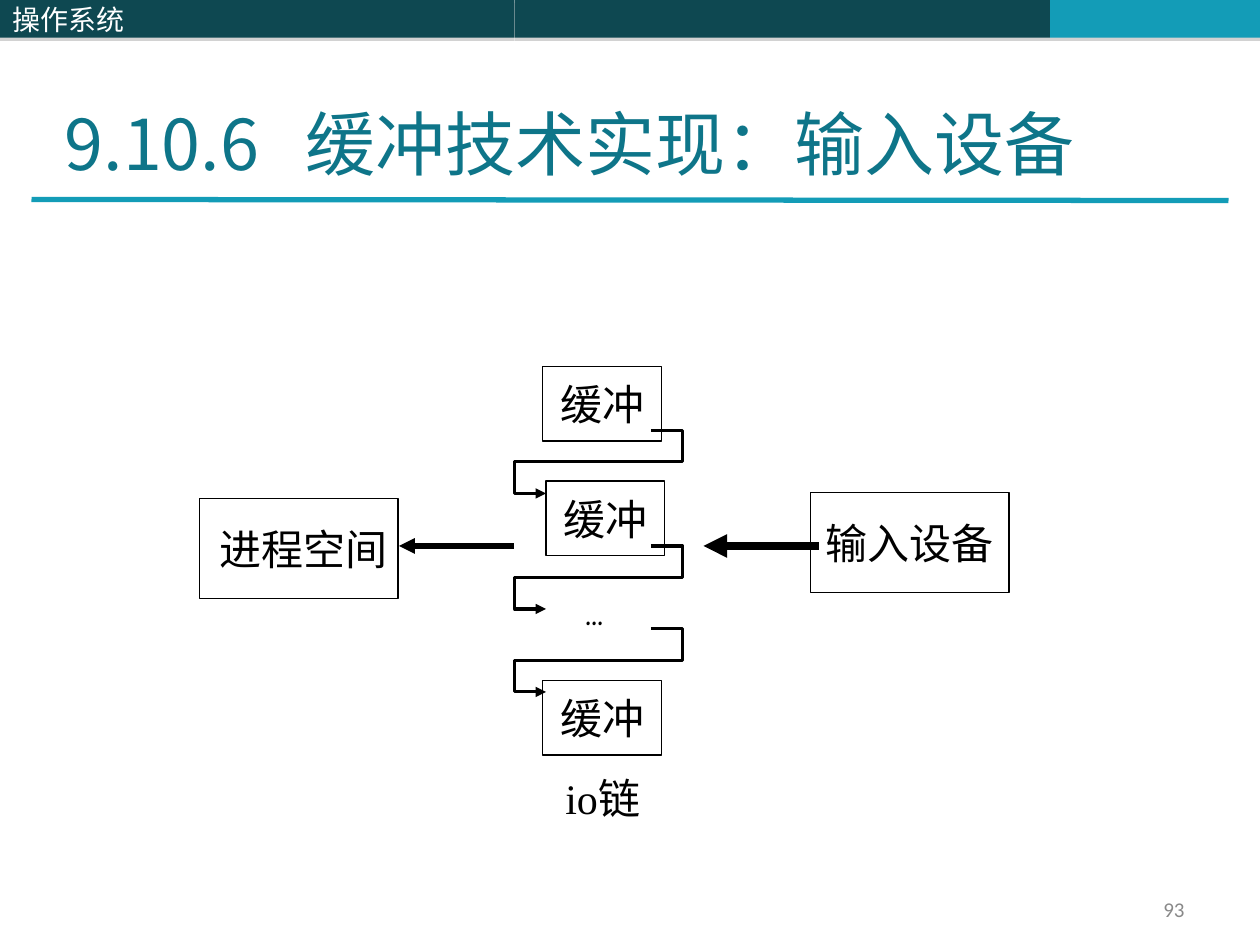
from lxml.etree import SubElement
from pptx import Presentation
from pptx.dml.color import RGBColor
from pptx.enum.shapes import MSO_CONNECTOR as Connector, MSO_SHAPE as Shape
from pptx.enum.text import MSO_ANCHOR as Anchor, PP_ALIGN as Align
from pptx.oxml.ns import qn
from pptx.util import Inches, Pt

# Colours and fonts
DARK_TEAL = RGBColor(0x0E, 0x48, 0x51)
TEAL = RGBColor(0x13, 0x9C, 0xB7)
TITLE_TEAL = RGBColor(0x0E, 0x75, 0x89)
GREY = RGBColor(0x89, 0x89, 0x89)
BLACK = RGBColor(0, 0, 0)
WHITE = RGBColor(0xFF, 0xFF, 0xFF)
CJK = "Noto Sans CJK SC"
SERIF = "Times New Roman"

# The page is a grid of 120 columns by 90 rows
COLUMNS, ROWS = 120, 90
CELL = Inches(10) / COLUMNS
HEADER_ROWS = 3.6
ARROW_ROW = 52


def grid(*cells):
    return [round(cell * CELL) for cell in cells]


def write(box, text, *, size=24, font=SERIF, color=BLACK, align=Align.LEFT,
          anchor=Anchor.TOP, wrap=True, left=0.1, right=0.1, tab=None):
    frame = box.text_frame
    frame.word_wrap = wrap
    frame.vertical_anchor = anchor
    frame.margin_left, frame.margin_right = Inches(left), Inches(right)
    para = frame.paragraphs[0]
    para.alignment = align
    if tab is not None:
        stops = SubElement(para._p.get_or_add_pPr(), qn("a:tabLst"))
        SubElement(stops, qn("a:tab"), pos=str(Inches(tab)), algn="l")
    span = para.add_run()
    span.text = text
    span.font.size = Pt(size)
    span.font.name = font
    span.font.color.rgb = color
    SubElement(span._r.get_or_add_rPr(), qn("a:ea"), typeface=CJK)


def add_label(page, place, text, **style):
    write(page.shapes.add_textbox(*grid(*place)), text, **style)


def add_rectangle(page, place, fill):
    box = page.shapes.add_shape(Shape.RECTANGLE, *grid(*place))
    box.shadow.inherit = False
    box.fill.solid()
    box.fill.fore_color.rgb = fill
    box.line.fill.background()
    return box


def add_band(page, left, right, fill):
    band = add_rectangle(page, (left, 0, right - left, HEADER_ROWS), fill)
    effects = band._element.spPr.find(qn("a:effectLst"))
    shadow = SubElement(effects, qn("a:outerShdw"), blurRad="0",
                        dist=str(Pt(1.8)), dir="5400000", rotWithShape="0")
    tint = SubElement(shadow, qn("a:srgbClr"), val="808080")
    SubElement(tint, qn("a:alpha"), val="35000")
    return band


def add_node(page, place, text, left=0.06):
    box = add_rectangle(page, place, WHITE)
    box.line.color.rgb = BLACK
    box.line.width = Pt(0.75)
    write(box, text, align=Align.CENTER, anchor=Anchor.MIDDLE, wrap=False,
          left=left, right=0.06)


def style_line(stroke, color, width, arrow_end=None):
    stroke.line.color.rgb = color
    stroke.line.width = Pt(width)
    if arrow_end:
        outline = stroke._element.spPr.find(qn("a:ln"))
        SubElement(outline, qn(arrow_end), type="triangle")


def add_line(page, ends, color, width, arrow_end=None):
    line = page.shapes.add_connector(Connector.STRAIGHT, *grid(*ends))
    style_line(line, color, width, arrow_end)
    SubElement(line._element.spPr, qn("a:effectLst"))


def add_chain_link(page, row):
    """Arrow that leaves one buffer on the right and enters the next on the left."""
    turns = [(65, row), (65, row + 3), (49, row + 3), (49, row + 6), (52, row + 6)]
    builder = page.shapes.build_freeform(*grid(62, row))
    builder.add_line_segments([grid(*turn) for turn in turns], close=False)
    link = builder.convert_to_shape()
    link.shadow.inherit = False
    link.fill.background()
    style_line(link, BLACK, 1.75, "a:tailEnd")


def main():
    deck = Presentation()
    deck.slide_width, deck.slide_height = grid(COLUMNS, ROWS)
    page = deck.slides.add_slide(deck.slide_layouts[6])

    # Header, title and page number
    add_band(page, 49, 100, DARK_TEAL)
    add_band(page, 100, COLUMNS, TEAL)
    add_line(page, (3, 19, 117, 19.1), TEAL, 3)
    course = add_band(page, 0, 49, DARK_TEAL)
    write(course, "操作系统", size=16, font=CJK, color=WHITE, anchor=Anchor.MIDDLE)
    add_label(page, (86, 85, 28, 3.2), "93", size=12, font="Calibri", color=GREY,
              align=Align.RIGHT, anchor=Anchor.MIDDLE)
    add_label(page, (5, 9, 111, 9.2), "9.10.6\t缓冲技术实现：输入设备", size=40,
              font=CJK, color=TITLE_TEAL, tab=1.91)

    # Process and device at the sides, buffers between them
    add_node(page, (19, 47.5, 18.9, 9.5), "进程空间", left=0.14)
    add_node(page, (77.2, 46.9, 18.9, 9.5), "输入设备")
    for column, row in ((51.7, 34.9), (52, 45.8), (51.7, 64.8)):
        add_node(page, (column, row, 11.3, 7.1), "缓冲")

    # Data flow from the device to the process
    for start, width in ((38, 3), (67, 4.5)):
        add_line(page, (start, ARROW_ROW, start + 11, ARROW_ROW), BLACK, width,
                 "a:headEnd")

    # Chain of buffers
    for row in (41, ARROW_ROW, 59.9):
        add_chain_link(page, row)
    add_label(page, (55, 55, 7, 6), "...", font="Comic Neue", left=0.06, right=0.06)
    add_label(page, (51.4, 73, 12, 6), "io链", align=Align.CENTER)

    deck.save("out.pptx")


if __name__ == "__main__":
    main()
